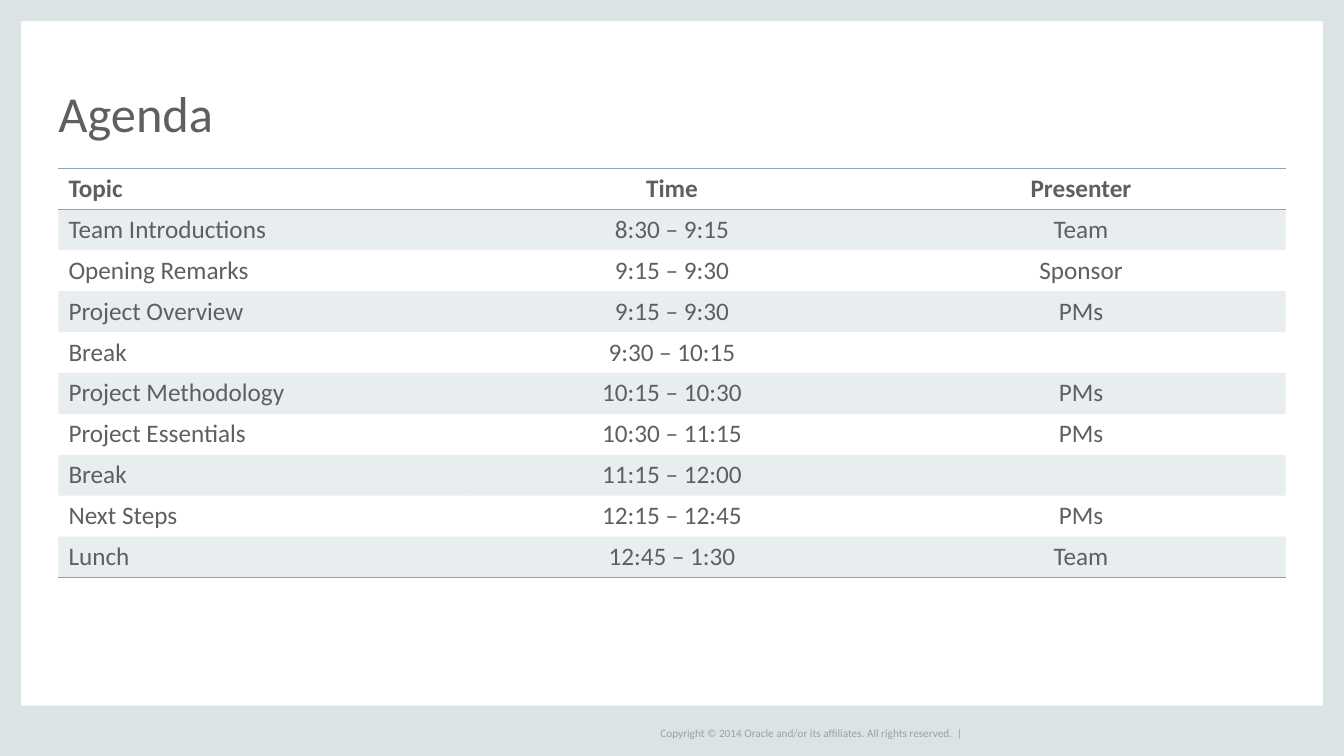
from dataclasses import dataclass

from lxml.etree import SubElement
from pptx import Presentation
from pptx.dml.color import RGBColor
from pptx.enum.shapes import MSO_SHAPE
from pptx.enum.text import MSO_ANCHOR, MSO_AUTO_SIZE, PP_ALIGN
from pptx.oxml import parse_xml
from pptx.oxml.ns import nsdecls, qn
from pptx.slide import Slide
from pptx.table import _Cell
from pptx.text.text import TextFrame, _Paragraph
from pptx.util import Inches, Pt

PAGE_WIDTH = Inches(13.33)
PAGE_HEIGHT = Inches(7.5)
PLAIN_TABLE_STYLE = "{2D5ABB26-0587-4C30-8999-92F81FD0307C}"


@dataclass(frozen=True)
class Theme:
    font: str = "Calibri"
    text: str = "5F5F5F"
    muted: str = "9F9F9F"
    frame: str = "DCE3E4"
    accent: str = "8DA6B1"
    band_opacity: int = 20
    rule_width: int = 1
    title_size: int = 36
    table_size: int = 18
    footer_size: int = 8


@dataclass(frozen=True)
class Area:
    """Percentages of the slide's width and height."""

    left: float
    top: float
    width: float
    height: float

    def box(self) -> tuple[int, int, int, int]:
        return (
            int(PAGE_WIDTH * self.left / 100),
            int(PAGE_HEIGHT * self.top / 100),
            int(PAGE_WIDTH * self.width / 100),
            int(PAGE_HEIGHT * self.height / 100),
        )


@dataclass(frozen=True)
class Session:
    topic: str
    time: str
    presenter: str = ""

    def texts(self) -> tuple[str, str, str]:
        return self.topic, self.time, self.presenter


THEME = Theme()
FRAME = (
    Area(0, 0, 1.58, 100),
    Area(98.42, 0, 1.58, 100),
    Area(0, 93.33, 100, 6.67),
    Area(0, 0, 100, 2.8),
)
TITLE_AREA = Area(4.35, 5.87, 91.3, 12.93)
TABLE_AREA = Area(4.35, 22.27, 91.3, 54.13)
FOOTER_AREA = Area(49.14, 95.6, 22.88, 2.67)
HEADER = Session("Topic", "Time", "Presenter")
SESSIONS = (
    Session("Team Introductions", "8:30 – 9:15", "Team"),
    Session("Opening Remarks", "9:15 – 9:30", "Sponsor"),
    Session("Project Overview", "9:15 – 9:30", "PMs"),
    Session("Break", "9:30 – 10:15"),
    Session("Project Methodology", "10:15 – 10:30", "PMs"),
    Session("Project Essentials", "10:30 – 11:15", "PMs"),
    Session("Break", "11:15 – 12:00"),
    Session("Next Steps", "12:15 – 12:45", "PMs"),
    Session("Lunch", "12:45 – 1:30", "Team"),
)


def style_text(para: _Paragraph, size: int, color: str, bold: bool = False) -> None:
    for span in para.runs:
        span.font.name = THEME.font
        span.font.size = Pt(size)
        span.font.bold = bold
        span.font.color.rgb = RGBColor.from_string(color)


def clear_margins(frame: TextFrame) -> None:
    frame.margin_left = frame.margin_right = 0
    frame.margin_top = frame.margin_bottom = 0
    frame.auto_size = MSO_AUTO_SIZE.NONE


def add_frame(page: Slide) -> None:
    for area in FRAME:
        strip = page.shapes.add_shape(MSO_SHAPE.RECTANGLE, *area.box())
        strip.shadow.inherit = False
        strip.fill.solid()
        strip.fill.fore_color.rgb = RGBColor.from_string(THEME.frame)
        strip.line.fill.background()


def add_footer(page: Slide, text: str) -> None:
    box = page.shapes.add_textbox(*FOOTER_AREA.box())
    frame = box.text_frame
    clear_margins(frame)
    frame.word_wrap = False
    frame.vertical_anchor = MSO_ANCHOR.MIDDLE
    frame.text = text
    style_text(frame.paragraphs[0], THEME.footer_size, THEME.muted)


def set_title(page: Slide, text: str) -> None:
    title = page.shapes.title
    title.left, title.top, title.width, title.height = TITLE_AREA.box()
    frame = title.text_frame
    clear_margins(frame)
    frame.word_wrap = True
    frame.vertical_anchor = MSO_ANCHOR.BOTTOM
    frame.text = text
    para = frame.paragraphs[0]
    para.alignment = PP_ALIGN.LEFT
    para.line_spacing = 0.8
    style_text(para, THEME.title_size, THEME.text)


def fill_cell(cell: _Cell, banded: bool) -> None:
    if not banded:
        cell.fill.background()
        return
    cell.fill.solid()
    cell.fill.fore_color.rgb = RGBColor.from_string(THEME.accent)
    color = cell._tc.tcPr.find(f"{qn('a:solidFill')}/{qn('a:srgbClr')}")
    SubElement(color, qn("a:alpha"), val=str(THEME.band_opacity * 1000))


def rule_cell(cell: _Cell, sides: tuple[str, ...]) -> None:
    for position, side in enumerate(sides):
        rule = parse_xml(
            f'<a:{side} {nsdecls("a")} w="{Pt(THEME.rule_width)}"><a:solidFill>'
            f'<a:srgbClr val="{THEME.accent}"/></a:solidFill></a:{side}>'
        )
        cell._tc.get_or_add_tcPr().insert(position, rule)


def add_agenda(page: Slide) -> None:
    rows = (HEADER, *SESSIONS)
    columns = len(HEADER.texts())
    holder = page.shapes.add_table(len(rows), columns, *TABLE_AREA.box())
    table = holder.table
    table.horz_banding = False
    table._tbl.tblPr.find(qn("a:tableStyleId")).text = PLAIN_TABLE_STYLE
    for row, session in enumerate(rows):
        sides = {0: ("lnT", "lnB"), len(rows) - 1: ("lnB",)}.get(row, ())
        for column, text in enumerate(session.texts()):
            cell = table.cell(row, column)
            cell.text_frame.text = text
            para = cell.text_frame.paragraphs[0]
            para.alignment = PP_ALIGN.CENTER if column else PP_ALIGN.LEFT
            style_text(para, THEME.table_size, THEME.text, bold=row == 0)
            fill_cell(cell, banded=row % 2 == 1)
            rule_cell(cell, sides)


def main() -> None:
    deck = Presentation()
    deck.slide_width = PAGE_WIDTH
    deck.slide_height = PAGE_HEIGHT
    page = deck.slides.add_slide(deck.slide_layouts.get_by_name("Title Only"))
    add_frame(page)
    add_footer(page, "Copyright © 2014 Oracle and/or its affiliates. All rights reserved.  |")
    set_title(page, "Agenda")
    add_agenda(page)
    deck.save("out.pptx")


if __name__ == "__main__":
    main()
